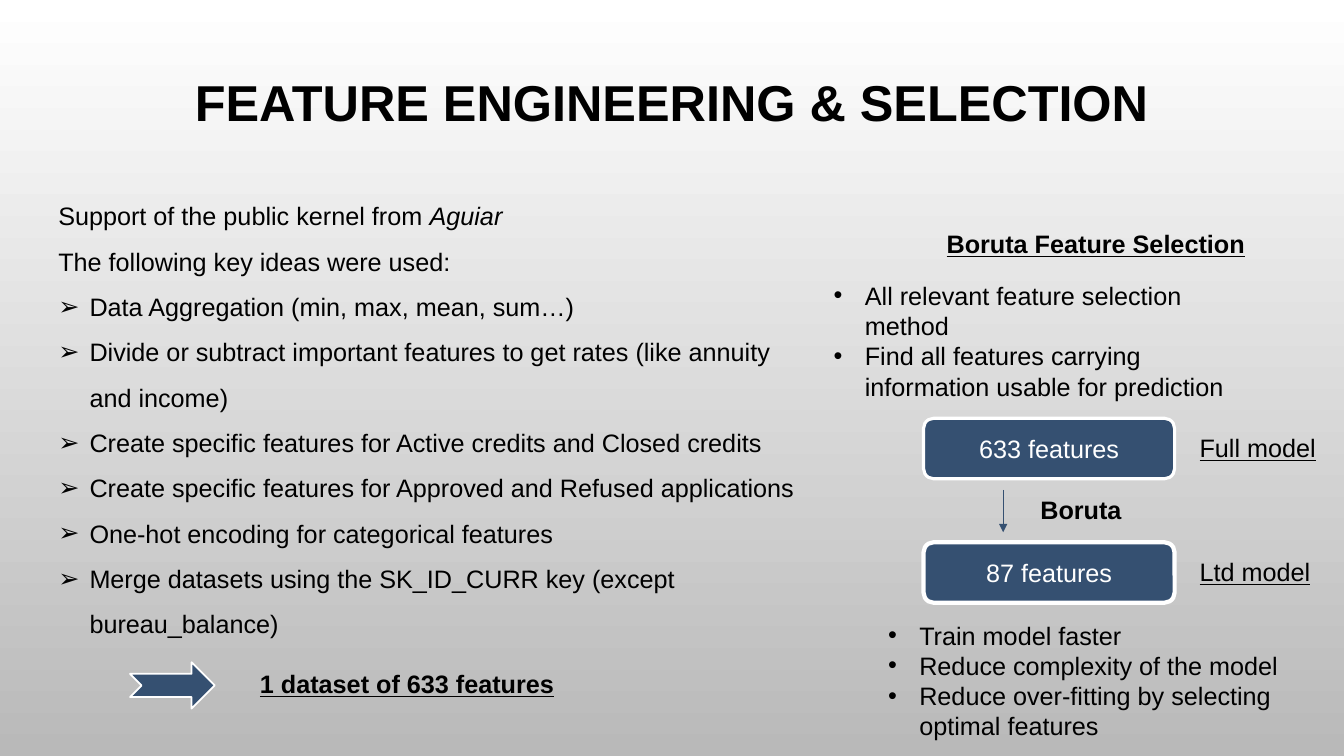
from dataclasses import dataclass

import pptx
import pptx.dml.color
import pptx.enum.shapes
import pptx.enum.text
import pptx.oxml.ns
import pptx.util
from lxml import etree

Inches = pptx.util.Inches
Pt = pptx.util.Pt
qn = pptx.oxml.ns.qn
MSO_SHAPE = pptx.enum.shapes.MSO_SHAPE
PP_ALIGN = pptx.enum.text.PP_ALIGN
MSO_ANCHOR = pptx.enum.text.MSO_ANCHOR
MSO_AUTO_SIZE = pptx.enum.text.MSO_AUTO_SIZE

FONT = "Arial"
BLACK, WHITE, GREY, NAVY = "000000", "FFFFFF", "B9B9B9", "355071"
HANGING = 0.31


@dataclass
class Box:
    left: float
    top: float
    width: float
    height: float

    def lengths(self) -> tuple:
        return tuple(Inches(v) for v in (self.left, self.top, self.width, self.height))


@dataclass
class Label:
    text: str
    box: Box
    bold: bool = False
    underline: bool = False


@dataclass
class BulletList:
    items: list[str]
    box: Box


@dataclass
class Block:
    shape: int
    box: Box
    outline: float
    text: str = ""


LABELS = [
    Label("Boruta Feature Selection", Box(9.29, 2.22, 3.19, 0.4), True, True),
    Label("Boruta", Box(10.22, 4.86, 1.02, 0.4), bold=True),
    Label("Full model", Box(11.8, 4.24, 1.37, 0.4), underline=True),
    Label("Ltd model", Box(11.8, 5.47, 1.31, 0.4), underline=True),
]
BORUTA_LISTS = [
    BulletList(["All relevant feature selection method",
                "Find all features carrying information usable for prediction"],
               Box(8.17, 2.73, 4.46, 1.31)),
    BulletList(["Train model faster",
                "Reduce complexity of the model",
                "Reduce over-fitting by selecting optimal features"],
               Box(8.71, 6.1, 4.46, 1.31)),
]
BLOCKS = [
    Block(MSO_SHAPE.ROUNDED_RECTANGLE, Box(9.16, 4.15, 2.49, 0.6), 2.25, "633 features"),
    Block(MSO_SHAPE.ROUNDED_RECTANGLE, Box(9.16, 5.38, 2.49, 0.6), 3, "87 features"),
    Block(MSO_SHAPE.NOTCHED_RIGHT_ARROW, Box(1.29, 6.57, 0.84, 0.46), 1.25),
]
KEY_IDEAS = [
    "Data Aggregation (min, max, mean, sum…)",
    "Divide or subtract important features to get rates (like annuity and income)",
    "Create specific features for Active credits and Closed credits",
    "Create specific features for Approved and Refused applications",
    "One-hot encoding for categorical features",
    "Merge datasets using the SK_ID_CURR key (except bureau_balance)",
]


def rgb(value: str) -> pptx.dml.color.RGBColor:
    return pptx.dml.color.RGBColor.from_string(value)


def add_run(paragraph, text: str, *, size: float = 18, color: str = BLACK,
            bold: bool = False, italic: bool = False, underline: bool = False) -> None:
    run = paragraph.add_run()
    run.text = text
    font = run.font
    font.name, font.size = FONT, Pt(size)
    font.bold, font.italic, font.underline = bold, italic, underline
    font.color.rgb = rgb(color)


def next_paragraph(frame):
    """Return the first paragraph while it is empty, then a new one each time."""
    first = frame.paragraphs[0]
    return frame.add_paragraph() if first.runs else first


def indent(paragraph, left: float, first_line: float = 0) -> None:
    properties = paragraph._p.get_or_add_pPr()
    properties.set("marL", str(Inches(left)))
    properties.set("indent", str(Inches(first_line)))


def add_bullet(paragraph, char: str) -> None:
    indent(paragraph, HANGING, -HANGING)
    properties = paragraph._p.get_or_add_pPr()
    etree.SubElement(properties, qn("a:buFont"), typeface=FONT)
    etree.SubElement(properties, qn("a:buChar"), char=char)


def add_frame(slide, box: Box, wrap: bool = True):
    frame = slide.shapes.add_textbox(*box.lengths()).text_frame
    frame.word_wrap = wrap
    frame.auto_size = MSO_AUTO_SIZE.SHAPE_TO_FIT_TEXT
    return frame


def add_title(slide, text: str) -> None:
    title = slide.shapes.title
    title.left, title.top, title.width, title.height = Box(1, 0.68, 11.33, 0.72).lengths()
    frame = title.text_frame
    frame.auto_size = MSO_AUTO_SIZE.NONE
    frame.vertical_anchor = MSO_ANCHOR.MIDDLE
    paragraph = frame.paragraphs[0]
    paragraph.alignment = PP_ALIGN.CENTER
    paragraph.line_spacing = 0.9
    add_run(paragraph, text, size=36, bold=True)


def add_block(slide, block: Block) -> None:
    shape = slide.shapes.add_shape(block.shape, *block.box.lengths())
    shape.shadow.inherit = False
    shape.fill.solid()
    shape.fill.fore_color.rgb = rgb(NAVY)
    shape.line.color.rgb = rgb(WHITE)
    shape.line.width = Pt(block.outline)
    if block.text:
        shape.text_frame.vertical_anchor = MSO_ANCHOR.MIDDLE
        paragraph = shape.text_frame.paragraphs[0]
        paragraph.alignment = PP_ALIGN.CENTER
        add_run(paragraph, block.text, color=WHITE)


def add_down_arrow(slide, x: float, top: float, bottom: float) -> None:
    arrow = slide.shapes.add_connector(
        pptx.enum.shapes.MSO_CONNECTOR.STRAIGHT,
        Inches(x), Inches(top), Inches(x), Inches(bottom))
    arrow.line.color.rgb = rgb(NAVY)
    arrow.line.width = Pt(0.75)
    properties = arrow._element.spPr
    etree.SubElement(properties.find(qn("a:ln")), qn("a:tailEnd"), type="triangle")
    etree.SubElement(properties, qn("a:effectLst"))


def add_engineering_text(slide) -> None:
    frame = add_frame(slide, Box(0.48, 1.79, 7.56, 5.25))
    support = next_paragraph(frame)
    add_run(support, "Support of the public kernel from ")
    add_run(support, "Aguiar", italic=True)
    add_run(next_paragraph(frame), "The following key ideas were used:")
    for idea in KEY_IDEAS:
        paragraph = next_paragraph(frame)
        add_bullet(paragraph, "➢")
        add_run(paragraph, idea)
    for paragraph in frame.paragraphs:
        paragraph.line_spacing = 1.5
    result = next_paragraph(frame)
    indent(result, 2)
    result.space_before = Pt(21)
    add_run(result, "1 dataset of 633 features", bold=True, underline=True)


def main() -> None:
    deck = pptx.Presentation()
    deck.slide_width, deck.slide_height = Inches(13.33), Inches(7.5)
    slide = deck.slides.add_slide(deck.slide_layouts.get_by_name("Title Only"))
    backdrop = slide.background.fill
    backdrop.gradient()
    backdrop.gradient_angle = 270
    for stop, color in zip(backdrop.gradient_stops, (WHITE, GREY)):
        stop.color.rgb = rgb(color)

    add_title(slide, "FEATURE ENGINEERING & SELECTION")
    add_engineering_text(slide)
    for label in LABELS:
        add_run(next_paragraph(add_frame(slide, label.box, wrap=False)), label.text,
                bold=label.bold, underline=label.underline)
    for bullets in BORUTA_LISTS:
        frame = add_frame(slide, bullets.box)
        for item in bullets.items:
            paragraph = next_paragraph(frame)
            add_bullet(paragraph, "•")
            add_run(paragraph, item)
    for block in BLOCKS:
        add_block(slide, block)
    add_down_arrow(slide, 9.95, 4.86, 5.28)
    deck.save("out.pptx")


if __name__ == "__main__":
    main()
